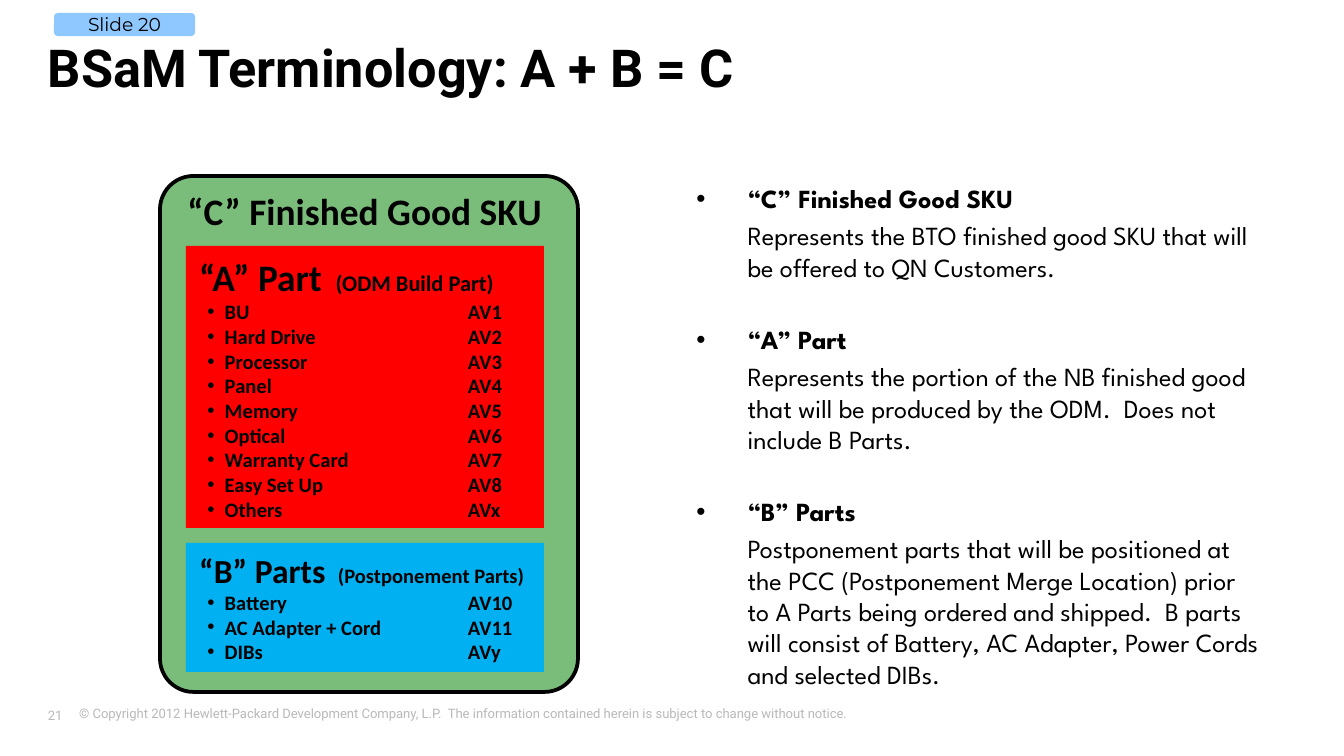
from lxml import etree
from pptx import Presentation
from pptx.dml.color import RGBColor
from pptx.enum.shapes import MSO_SHAPE
from pptx.enum.text import MSO_ANCHOR, MSO_AUTO_SIZE, PP_ALIGN
from pptx.oxml.ns import qn
from pptx.util import Inches, Pt

PX = 914400 / 134.4
RECT, ROUND = MSO_SHAPE.RECTANGLE, MSO_SHAPE.ROUNDED_RECTANGLE
TOP, MIDDLE, BOTTOM = MSO_ANCHOR.TOP, MSO_ANCHOR.MIDDLE, MSO_ANCHOR.BOTTOM
LEFT, CENTER = PP_ALIGN.LEFT, PP_ALIGN.CENTER
NO_FIT = MSO_AUTO_SIZE.NONE

A_PARTS = [("BU", "AV1"), ("Hard Drive", "AV2"), ("Processor", "AV3"),
           ("Panel", "AV4"), ("Memory", "AV5"), ("Optical", "AV6"),
           ("Warranty Card", "AV7"), ("Easy Set Up", "AV8"), ("Others", "AVx")]
B_PARTS = [("Battery", "AV10"), ("AC Adapter + Cord", "AV11"), ("DIBs", "AVy")]
TERMS = [
    ("“C” Finished Good SKU",
     "Represents the BTO finished good SKU that will be offered to QN Customers."),
    ("“A” Part",
     "Represents the portion of the NB finished good that will be produced by "
     "the ODM.  Does not include B Parts."),
    ("“B” Parts",
     "Postponement parts that will be positioned at the PCC (Postponement Merge "
     "Location) prior to A Parts being ordered and shipped.  B parts will consist "
     "of Battery, AC Adapter, Power Cords and selected DIBs."),
]


def px(n):
    return round(n * PX)


def color(hex_text):
    return RGBColor.from_string(hex_text)


def style(item, font, size, bold=False, hex_text="000000"):
    f = item.font
    f.name, f.size, f.bold = font, Pt(size), bold
    f.color.rgb = color(hex_text)


def place(shape, box):
    shape.left, shape.top, shape.width, shape.height = map(px, box)


def indent(p, margin, first, bullet=None, tab=None):
    """Set indents in inches, then bullet and tab stop."""
    pPr = p._p.get_or_add_pPr()
    pPr.set("marL", str(Inches(margin)))
    pPr.set("indent", str(Inches(first)))
    if bullet:
        etree.SubElement(pPr, qn("a:buFont")).set("typeface", "Arial")
        etree.SubElement(pPr, qn("a:buChar")).set("char", bullet)
    else:
        etree.SubElement(pPr, qn("a:buNone"))
    if tab:
        stops = etree.SubElement(pPr, qn("a:tabLst"))
        stop = etree.SubElement(stops, qn("a:tab"))
        stop.set("pos", str(Inches(tab)))
        stop.set("algn", "l")


def add_panel(s, kind, box, fill, anchor=TOP, alpha=None):
    sp = s.shapes.add_shape(kind, *map(px, box))
    sp.shadow.inherit = False
    sp.fill.solid()
    sp.fill.fore_color.rgb = color(fill)
    if alpha:
        clr = sp._element.spPr.find(qn("a:solidFill"))[0]
        etree.SubElement(clr, qn("a:alpha")).set("val", str(alpha * 1000))
    sp.line.fill.background()
    sp.text_frame.word_wrap = True
    sp.text_frame.vertical_anchor = anchor
    return sp


def add_parts(s, box, fill, anchor, heading, note, sizes, parts):
    """Part panel: a heading with a note, then bulleted name and code rows."""
    tf = add_panel(s, RECT, box, fill, anchor).text_frame
    p = tf.paragraphs[0]
    p.alignment = LEFT
    indent(p, 0, 0)
    for text, size in zip((heading, note), sizes):
        r = p.add_run()
        r.text = text
        style(r, "Calibri", size, True)
    for name, code in parts:
        p = tf.add_paragraph()
        p.text = f"{name}\t\t{code}"
        p.alignment = LEFT
        indent(p, 0.19, -0.13, "•", 1.57)
        style(p.runs[0], "Calibri", 11, True)


def add_sku(s, box):
    x, y, w, h = box
    sp = add_panel(s, ROUND, box, "008000", alpha=52)
    sp.adjustments[0] = 0.08
    sp.line.color.rgb = color("000000")
    sp.line.width = Pt(2)
    tf = sp.text_frame
    tf.margin_top = Inches(0.02)
    p = tf.paragraphs[0]
    p.text = "“C” Finished Good SKU "
    p.alignment = CENTER
    style(p.runs[0], "Calibri", 20, True)
    add_parts(s, (x + 26, y + 367, w - 60, 129), "00B0F0", TOP,
              "“B” Parts ", " (Postponement Parts)", (18, 11), B_PARTS)
    add_parts(s, (x + 26, y + 70, w - 60, 282), "FF0000", BOTTOM,
              "“A” Part ", " (ODM Build Part)", (20, 12), A_PARTS)


def fill_title(title, box):
    place(title, box)
    tf = title.text_frame
    tf.text = "BSaM Terminology: A + B = C"
    tf.auto_size, tf.vertical_anchor = NO_FIT, TOP
    tf.margin_left = tf.margin_right = tf.margin_top = tf.margin_bottom = 0
    p = tf.paragraphs[0]
    p.alignment = LEFT
    style(p.runs[0], "Roboto", 28, True)


def fill_terms(body, box):
    place(body, box)
    tf = body.text_frame
    tf.auto_size, tf.vertical_anchor = NO_FIT, TOP
    for i, (term, meaning) in enumerate(TERMS):
        head = tf.add_paragraph() if i else tf.paragraphs[0]
        text = tf.add_paragraph()
        head.text, text.text = term, meaning
        head.space_before, text.space_before = Pt(22 if i else 0), Pt(3)
        indent(head, 0.38, -0.38, "•")
        indent(text, 0.38, 0)
        style(head.runs[0], "League Spartan", 14, True)
        style(text.runs[0], "League Spartan", 14)


def add_tag(s, box):
    p = add_panel(s, ROUND, box, "3399FF", MIDDLE, 55).text_frame.paragraphs[0]
    p.text = "Slide 20"
    p.alignment = CENTER
    style(p.runs[0], "Montserrat", 10)


def add_footer(s, box):
    x, y, w, h = box
    notice = ("© Copyright 2012 Hewlett-Packard Development Company, L.P.  "
              "The information contained herein is subject to change without notice.")
    for text, dx, dy, width, height, anchor in (
            (notice, 18, 0, w - 18, h, TOP), ("21", 0, 5, 47, 22, MIDDLE)):
        tb = s.shapes.add_textbox(*map(px, (x + dx, y + dy, width, height)))
        tf = tb.text_frame
        tf.word_wrap = True
        tf.vertical_anchor = anchor
        if dx == 0:
            tf.margin_left = 0
        tf.text = text
        style(tf.paragraphs[0].runs[0], "Roboto", 7, hex_text="B9B8BB")


def main():
    prs = Presentation()
    prs.slide_width, prs.slide_height = px(1344), px(756)
    s = prs.slides.add_slide(prs.slide_layouts[1])
    add_footer(s, (48, 699, 1195, 34))
    add_sku(s, (160, 176, 418, 516))
    fill_title(s.shapes.title, (48, 35, 1193, 63))
    fill_terms(s.placeholders[1], (683, 176, 594, 499))
    add_tag(s, (54, 13, 141, 23))
    prs.save("out.pptx")


if __name__ == "__main__":
    main()
